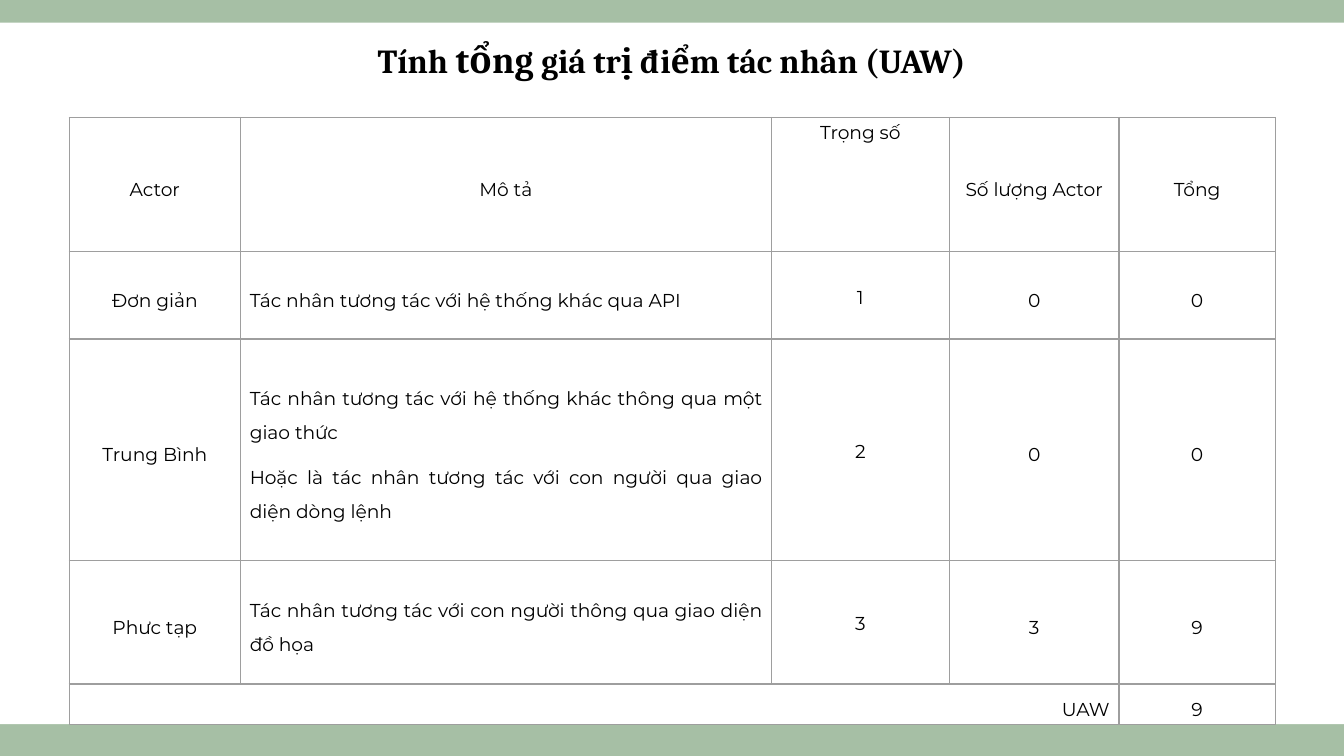
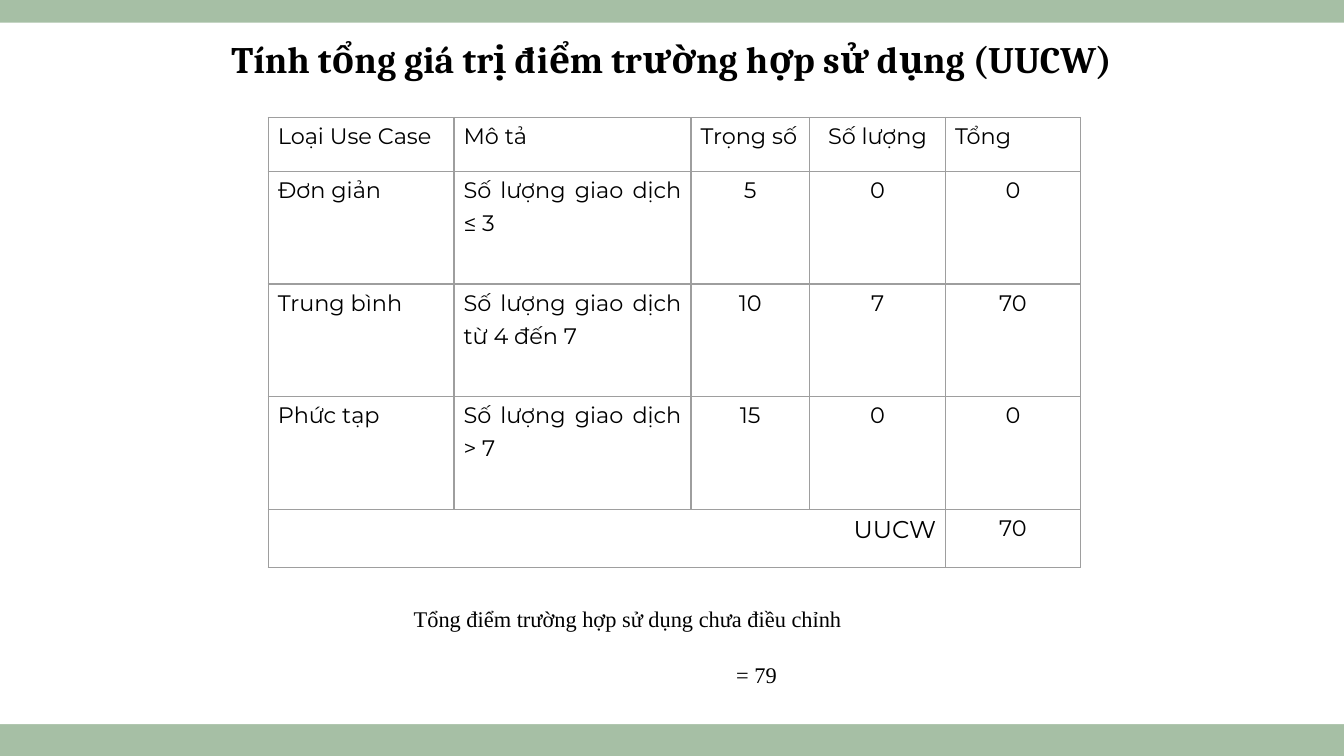
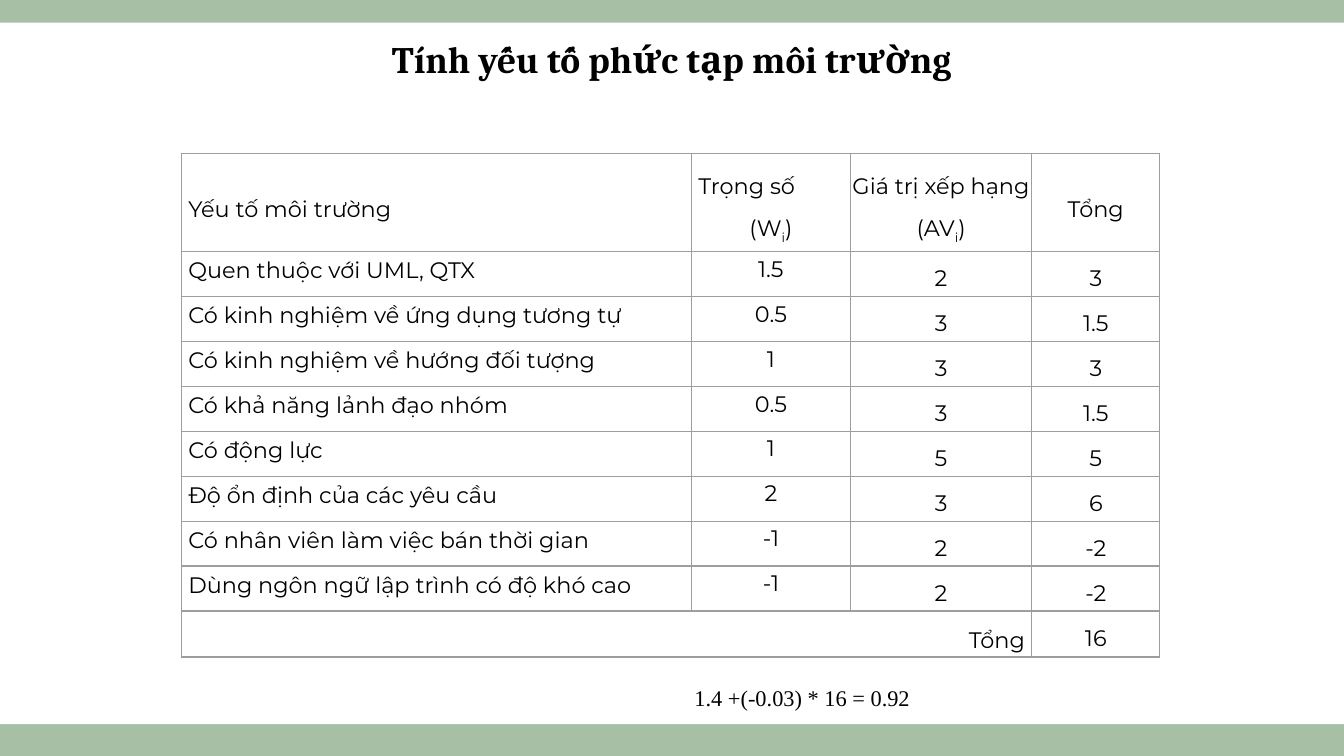
import pptx
import pptx.util
import pptx.dml.color
import pptx.enum.shapes
import pptx.enum.text
import lxml.etree
import pptx.oxml.ns

Cm, Pt = pptx.util.Cm, pptx.util.Pt
RGB = pptx.dml.color.RGBColor.from_string
qn = pptx.oxml.ns.qn
RECT = pptx.enum.shapes.MSO_SHAPE.RECTANGLE
HUES = {"band": "A6BFA5", "page": "FFFFFF", "ink": "000000", "grid": "9E9E9E"}
WIDE, HIGH = 25.4, 14.29

PA = pptx.enum.text.PP_ALIGN
ALIGN = {"l": PA.LEFT, "c": PA.CENTER, "r": PA.RIGHT, "j": PA.JUSTIFY}
MA = pptx.enum.text.MSO_ANCHOR
TOP, MID = MA.TOP, MA.MIDDLE

# Cell styles: align per paragraph, line spacing, before, after, anchor, inset
STYLES = {
    "mid": ("c", 1.5, 6, 0, MID, 0.18),
    "desc": ("jj", 1.5, 6, 0, MID, 0.18),
    "sum": ("r", 1.5, 6, 0, MID, 0.18),
    "top": ("c", 1.2, 6, 6, TOP, 0.18),
    "weight": ("c", 1.2, 6, 6, MID, 0.18),
    "just": ("j", 1.2, 6, 6, TOP, 0.18),
    "right": ("r", 1.2, 6, 6, TOP, 0.18),
    "name": ("l", 1.5, 0, 0, MID, 0.13),
    "unit": ("lc", 1.5, 0, 0, MID, 0.13),
    "tight": ("c", 1.5, 0, 0, MID, 0),
    "item": ("l", 1.2, 0, 0, TOP, 0.13),
    "factor": ("c", 1.15, 0, 0, TOP, 0.13),
    "score": ("c", 1.5, 0, 0, TOP, 0),
    "total": ("r", 1.5, 0, 0, MID, 0.13),
}

# Slide contents; "~" encloses a subscript, the last row has a merged label
PAGES = [
    {
        "title": [("Tính ", 18), ("tổng", 20), (" giá trị điểm tác nhân (UAW)", 18)],
        "at": (1.31, 2.22), "size": 10, "last": 10,
        "cols": [3.23, 10.04, 3.36, 3.21, 2.95],
        "rows": [2.53, 1.66, 4.18, 2.34, 0.77],
        "head": ["mid", "mid", "top", "mid", "mid"],
        "body": ["mid", "desc", "weight", "mid", "mid"],
        "foot": ["sum", "mid"],
        "data": [
            ["Actor", "Mô tả", "Trọng số", "Số lượng Actor", "Tổng"],
            ["Đơn giản", "Tác nhân tương tác với hệ thống khác qua API", "1", "0", "0"],
            ["Trung Bình",
             "Tác nhân tương tác với hệ thống khác thông qua một giao thức\n"
             "Hoặc là tác nhân tương tác với con người qua giao diện dòng lệnh",
             "2", "0", "0"],
            ["Phưc tạp", "Tác nhân tương tác với con người thông qua giao diện đồ họa",
             "3", "3", "9"],
            ["UAW", "9"],
        ],
        "notes": [],
    },
    {
        "title": [("Tính tổng giá trị điểm trường hợp sử dụng (UUCW)", 20)],
        "at": (5.07, 2.22), "size": 12, "last": 13,
        "cols": [3.51, 4.48, 2.24, 2.57, 2.55],
        "rows": [1.02] + [2.13] * 3 + [1.1],
        "head": ["just", "just", "just", "top", "just"],
        "body": ["just", "just", "top", "top", "top"],
        "foot": ["right", "top"],
        "data": [
            ["Loại Use Case", "Mô tả", "Trọng số", "Số lượng", "Tổng"],
            ["Đơn giản", "Số lượng giao dịch ≤ 3", "5", "0", "0"],
            ["Trung bình", "Số lượng giao dịch từ 4 đến 7", "10", "7", "70"],
            ["Phức tạp", "Số lượng giao dịch > 7", "15", "0", "0"],
            ["UUCW", "70"],
        ],
        "notes": [
            ("Tổng điểm trường hợp sử dụng chưa điều chỉnh", "j", (7.57, 11.05, 16, 1.27)),
            (" = 79", "l", (13.56, 12.47, 10, 0.56)),
        ],
    },
    {
        "title": [("Tính yếu tố phức tạp môi trường", 20)],
        "at": (3.43, 2.9), "size": 12, "last": 12,
        "cols": [9.64, 3, 3.43, 2.42],
        "rows": [1.85] + [0.85] * 8 + [0.87],
        "head": ["name", "unit", "tight", "tight"],
        "body": ["item", "factor", "score", "score"],
        "foot": ["total", "score"],
        "data": [
            ["Yếu tố môi trường", "Trọng số\n(W~i~)", "Giá trị xếp hạng (AV~i~)", "Tổng"],
            ["Quen thuộc với UML, QTX", "1.5", "2", "3"],
            ["Có kinh nghiệm về ứng dụng tương tự", "0.5", "3", "1.5"],
            ["Có kinh nghiệm về hướng đối tượng", "1", "3", "3"],
            ["Có khả năng lảnh đạo nhóm", "0.5", "3", "1.5"],
            ["Có động lực", "1", "5", "5"],
            ["Độ ổn định của các yêu cầu", "2", "3", "6"],
            ["Có nhân viên làm việc bán thời gian", "-1", "2", "-2"],
            ["Dùng ngôn ngữ lập trình có độ khó cao", "-1", "2", "-2"],
            ["Tổng", "16"],
        ],
        "notes": [(" 1.4 +(-0.03) * 16 = 0.92", "c", (4.95, 12.9, 20.32, 0.56))],
    },
]


def add_run(par, text, size, face, bold=False):
    run = par.add_run()
    run.text = text
    run.font.size, run.font.name, run.font.bold = Pt(size), face, bold
    run.font.color.rgb = RGB(HUES["ink"])
    return run


def add_box(slide, hue, top, high):
    box = slide.shapes.add_shape(RECT, 0, Cm(top), Cm(WIDE), Cm(high))
    box.shadow.inherit = False
    box.fill.solid()
    box.fill.fore_color.rgb = RGB(HUES[hue])
    box.line.fill.background()
    return box


prs = pptx.Presentation()
prs.slide_width, prs.slide_height = Cm(WIDE), Cm(HIGH)
plan = prs.slide_layouts.get_by_name("Title Only")

for num, page in enumerate(PAGES):
    slide = prs.slides.add_slide(plan)
    tree = slide.shapes.element

    # Shared bands go once into the layout
    if num == 0:
        for top in (0, HIGH - 1.57):
            band = add_box(slide, "band", top, 1.57)
            plan.shapes.element.insert(2, band.element)

    # White panel behind the title
    panel = add_box(slide, "page", 0.43, 13.26)
    tree.insert(2, panel.element)

    # Title
    title = slide.shapes.title
    title.left, title.top, title.width, title.height = Cm(1.85), Cm(0.43), Cm(21.69), Cm(1.78)
    frame = title.text_frame
    frame.auto_size = pptx.enum.text.MSO_AUTO_SIZE.NONE
    frame.vertical_anchor = TOP
    frame.margin_left = frame.margin_right = Cm(0.25)
    frame.margin_top = frame.margin_bottom = Cm(0.25)
    frame.paragraphs[0].alignment = PA.CENTER
    for text, size in page["title"]:
        add_run(frame.paragraphs[0], text, size, "Cambria", True)

    # Table grid
    cols, rows, data = page["cols"], page["rows"], page["data"]
    left, top = page["at"]
    table = slide.shapes.add_table(len(rows), len(cols), Cm(left), Cm(top),
                                   Cm(sum(cols)), Cm(sum(rows))).table
    table.first_row = table.horz_banding = False
    for col, wide in zip(table.columns, cols):
        col.width = Cm(wide)
    for row, high in zip(table.rows, rows):
        row.height = Cm(high)
    end = len(rows) - 1
    table.cell(end, 0).merge(table.cell(end, len(cols) - 2))

    # Cell borders
    for cell in table.iter_cells():
        props = cell._tc.get_or_add_tcPr()
        for side in ("a:lnL", "a:lnR", "a:lnT", "a:lnB"):
            line = lxml.etree.SubElement(props, qn(side), w=str(Pt(0.75)))
            fill = lxml.etree.SubElement(line, qn("a:solidFill"))
            lxml.etree.SubElement(fill, qn("a:srgbClr"), val=HUES["grid"])
        cell.fill.background()

    # Cell text
    for r, texts in enumerate(data):
        part = "head" if r == 0 else "foot" if r == end else "body"
        spots = (0, len(cols) - 1) if part == "foot" else range(len(cols))
        for c, text, style in zip(spots, texts, page[part]):
            sides, space, above, below, anchor, inset = STYLES[style]
            size = page["last"] if part == "foot" and c == 0 else page["size"]
            cell = table.cell(r, c)
            cell.vertical_anchor = anchor
            cell.margin_left = cell.margin_right = Cm(inset)
            cell.margin_top = cell.margin_bottom = 0
            frame = cell.text_frame
            for n, line in enumerate(text.split("\n")):
                par = frame.add_paragraph() if n else frame.paragraphs[0]
                par.alignment, par.line_spacing = ALIGN[sides[n]], space
                par.space_before, par.space_after = Pt(above), Pt(below)
                for k, piece in enumerate(line.split("~")):
                    run = add_run(par, piece, size, "Montserrat")
                    if k % 2:
                        run._r.get_or_add_rPr().set("baseline", "-25000")

    # Result lines under the table
    for text, side, place in page["notes"]:
        frame = slide.shapes.add_textbox(*map(Cm, place)).text_frame
        frame.word_wrap = True
        frame.vertical_anchor = MID
        frame.margin_top = frame.margin_bottom = 0
        frame.paragraphs[0].alignment = ALIGN[side]
        add_run(frame.paragraphs[0], text, 12, "Times New Roman")

prs.save("out.pptx")
